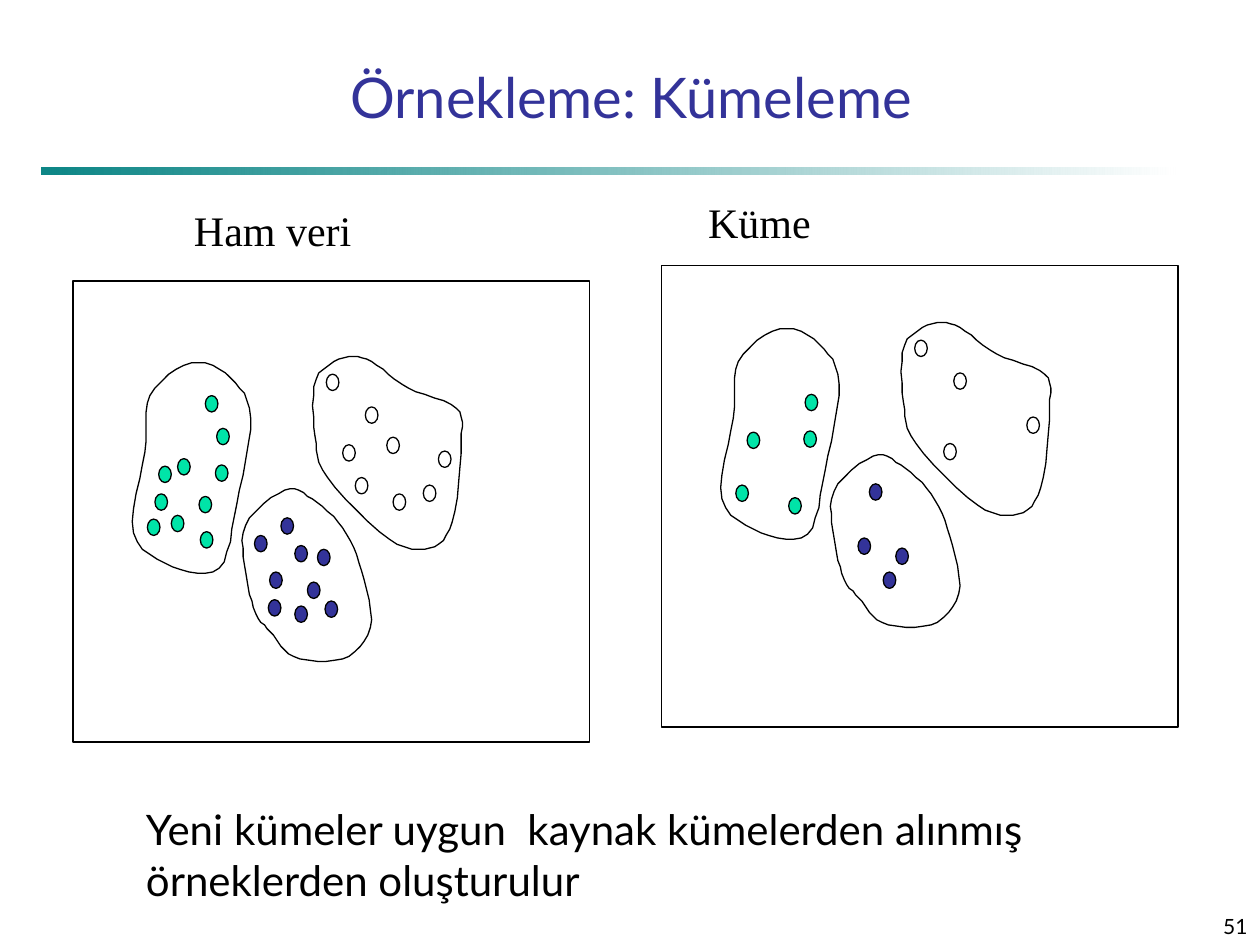
from dataclasses import dataclass

from lxml import etree
from pptx import Presentation
from pptx.dml.color import RGBColor
from pptx.enum.shapes import MSO_SHAPE
from pptx.enum.text import MSO_ANCHOR, PP_ALIGN
from pptx.oxml.ns import qn
from pptx.util import Pt

SANS, SERIF = "Lato", "Times New Roman"
BLACK, NAVY = "000000", "333399"
UNIT = 0.72  # points per unit of the cluster coordinates
CURVE_STEPS = 6


@dataclass
class Cluster:
    """The outline is a smooth closed curve through the given points."""
    color: str
    sampled: list
    others: list
    outline: list


CLUSTERS = [
    Cluster(
        "FFFFFF",
        [(190, 123), (182, 179), (248, 158), (159, 97)],
        [(207, 147), (172, 153), (236, 185), (212, 192)],
        [(262, 124), (266, 151), (259, 214), (241, 235), (209, 228), (160, 179),
         (150, 146), (151, 101), (173, 84), (195, 87), (224, 108)]),
    Cluster(
        NAVY,
        [(134, 281), (144, 262), (114, 254), (123, 211)],
        [(102, 225), (152, 236), (113, 276), (134, 233), (158, 277)],
        [(117, 304), (103, 287), (95, 254), (95, 217), (126, 189), (148, 196),
         (172, 219), (187, 253), (194, 298), (172, 323), (133, 321)]),
    Cluster(
        "00E4A8",
        [(17, 212), (26, 170), (59, 222), (71, 169), (72, 140)],
        [(36, 209), (23, 192), (58, 194), (41, 164), (63, 114)],
        [(88, 200), (74, 251), (37, 250), (6, 223), (15, 159), (19, 114),
         (52, 88), (83, 100), (99, 132)]),
]


def rgb(color):
    return RGBColor.from_string(color)


def write(shape, text, size=24, font=SANS, color=BLACK, align=PP_ALIGN.LEFT,
          anchor=MSO_ANCHOR.TOP, wrap=True):
    frame = shape.text_frame
    frame.word_wrap = wrap
    frame.vertical_anchor = anchor
    para = frame.paragraphs[0]
    para.alignment = align
    span = para.add_run()
    span.text = text
    span.font.size = Pt(size)
    span.font.name = font
    span.font.color.rgb = rgb(color)


def add_text(page, box, text, **style):
    write(page.shapes.add_textbox(*map(Pt, box)), text, **style)


def paint(shape, fill=None):
    shape.shadow.inherit = False
    if fill:
        shape.fill.solid()
        shape.fill.fore_color.rgb = rgb(fill)
    else:
        shape.fill.background()
    shape.line.color.rgb = rgb(BLACK)
    shape.line.width = Pt(0.75)


def add_preset(shapes, kind, box, fill=None):
    paint(shapes.add_shape(kind, *map(Pt, box)), fill)


def smooth(points):
    """Sample a closed Catmull-Rom curve, starting at the first point."""
    count = len(points)
    samples = []
    for i in range(count):
        corners = [points[(i + shift) % count] for shift in (-1, 0, 1, 2)]
        for step in range(CURVE_STEPS):
            t = step / CURVE_STEPS
            samples.append([
                b + t / 2 * (c - a + t * (2 * a - 5 * b + 4 * c - d
                                          + t * (3 * (b - c) + d - a)))
                for a, b, c, d in zip(*corners)])
    return samples


def add_cluster(shapes, cluster, left, top, sampled_only):
    dots = cluster.sampled if sampled_only else cluster.sampled + cluster.others
    for x, y in dots:
        add_preset(shapes, MSO_SHAPE.FLOWCHART_CONNECTOR,
                   (left + x * UNIT, top + y * UNIT, 7.2, 9.36), cluster.color)
    start, *rest = smooth(cluster.outline)
    builder = shapes.build_freeform(*start, scale=Pt(UNIT))
    builder.add_line_segments(rest, close=True)
    paint(builder.convert_to_shape(Pt(left), Pt(top)))


def add_panel(page, box, label, label_box, cluster_offset, sampled_only):
    left, top = box[:2]
    add_preset(page.shapes, MSO_SHAPE.RECTANGLE, box)
    group = page.shapes.add_group_shape()
    for cluster in CLUSTERS:
        add_cluster(group.shapes, cluster, left + cluster_offset[0],
                    top + cluster_offset[1], sampled_only)
    dx, dy, width, height = label_box
    add_text(page, (left + dx, top + dy, width, height), label, font=SERIF, wrap=False)


def add_heading(page, box, text):
    title = page.shapes.title
    title.left, title.top, title.width, title.height = map(Pt, box)
    write(title, text, size=32, color=NAVY, align=PP_ALIGN.CENTER, anchor=MSO_ANCHOR.BOTTOM)


def add_rule(page, box):
    rule = page.shapes.add_shape(MSO_SHAPE.RECTANGLE, *map(Pt, box))
    rule.shadow.inherit = False
    rule.line.fill.background()
    rule.fill.gradient()
    rule.fill.gradient_angle = 0
    for stop, color, position in zip(rule.fill.gradient_stops, ("008080", "FFFFFF"), (0, 1)):
        stop.color.rgb = rgb(color)
        stop.position = position
    start = next(rule._element.spPr.iter(qn("a:srgbClr")))
    etree.SubElement(start, qn("a:alpha"), val="95000")


def main():
    deck = Presentation()
    deck.slide_width, deck.slide_height = Pt(720), Pt(540)
    page = deck.slides.add_slide(deck.slide_layouts[5])
    add_rule(page, (24, 96, 648, 3.6))
    add_heading(page, (18, 30, 685.5, 48), "Örnekleme: Kümeleme")
    add_panel(page, (41.76, 160.56, 295.2, 263.52), "Ham veri",
              (62, -47.5, 104.4, 36), (30.24, -16.56), sampled_only=False)
    add_panel(page, (378, 151.92, 295.2, 263.52), "Küme",
              (19.5, -43.2, 73.44, 36), (30.24, -27.36), sampled_only=True)
    add_text(page, (76.32, 455.76, 596.88, 65.52),
             "Yeni kümeler uygun  kaynak kümelerden alınmış örneklerden oluşturulur")
    add_text(page, (570, 510, 150, 30), "51", size=12, align=PP_ALIGN.RIGHT,
             anchor=MSO_ANCHOR.BOTTOM)
    deck.save("out.pptx")


if __name__ == "__main__":
    main()
